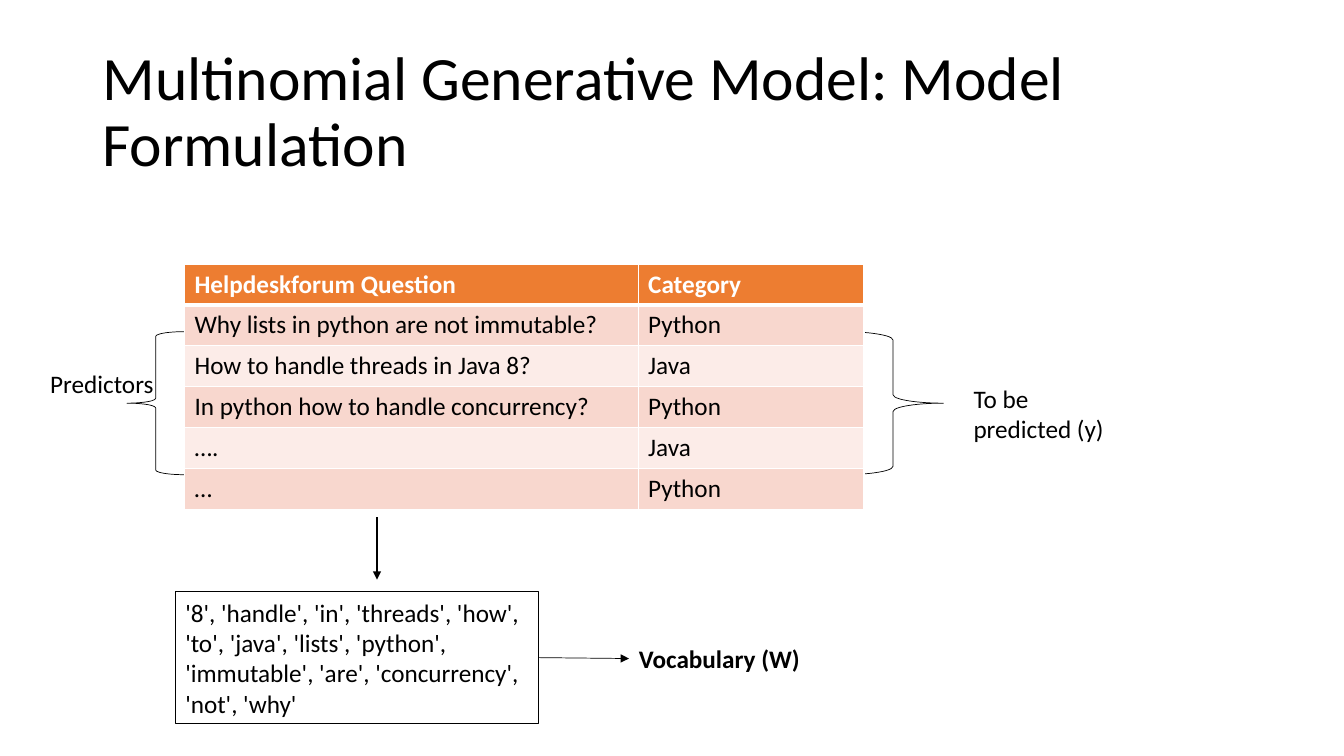
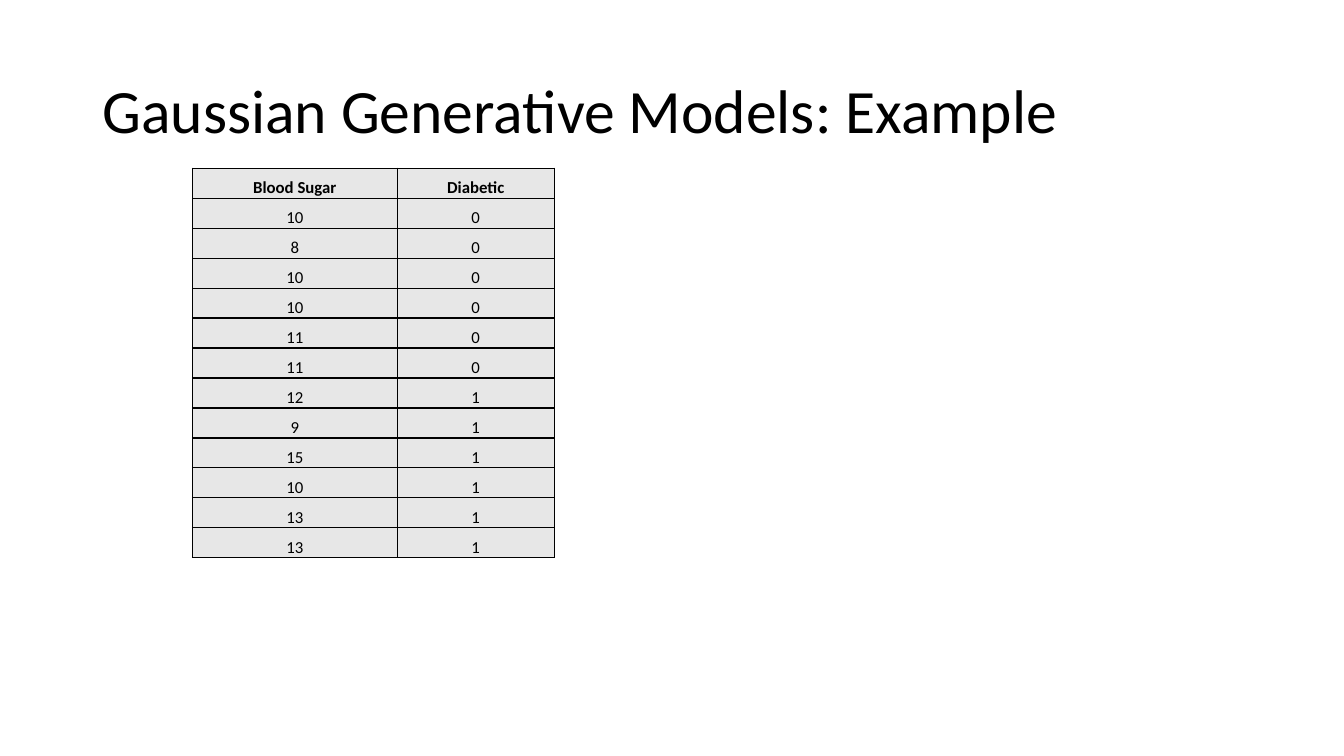
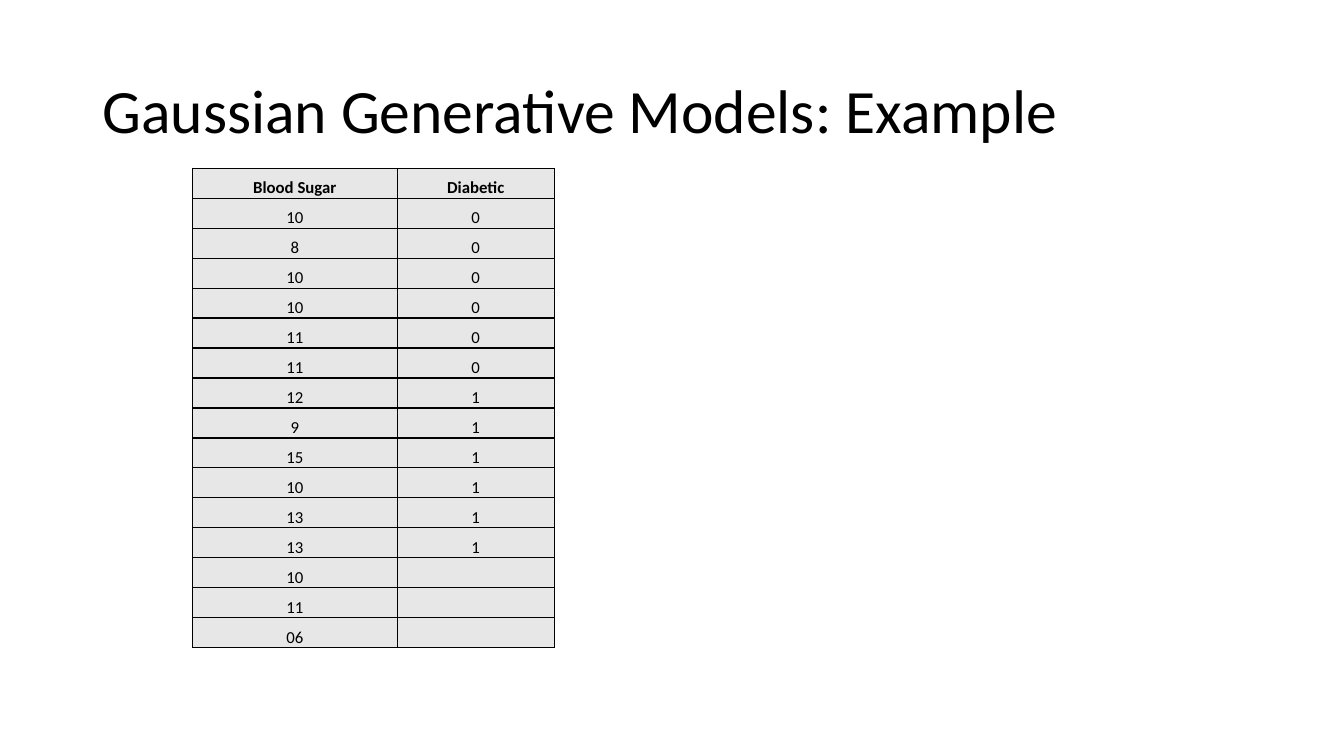
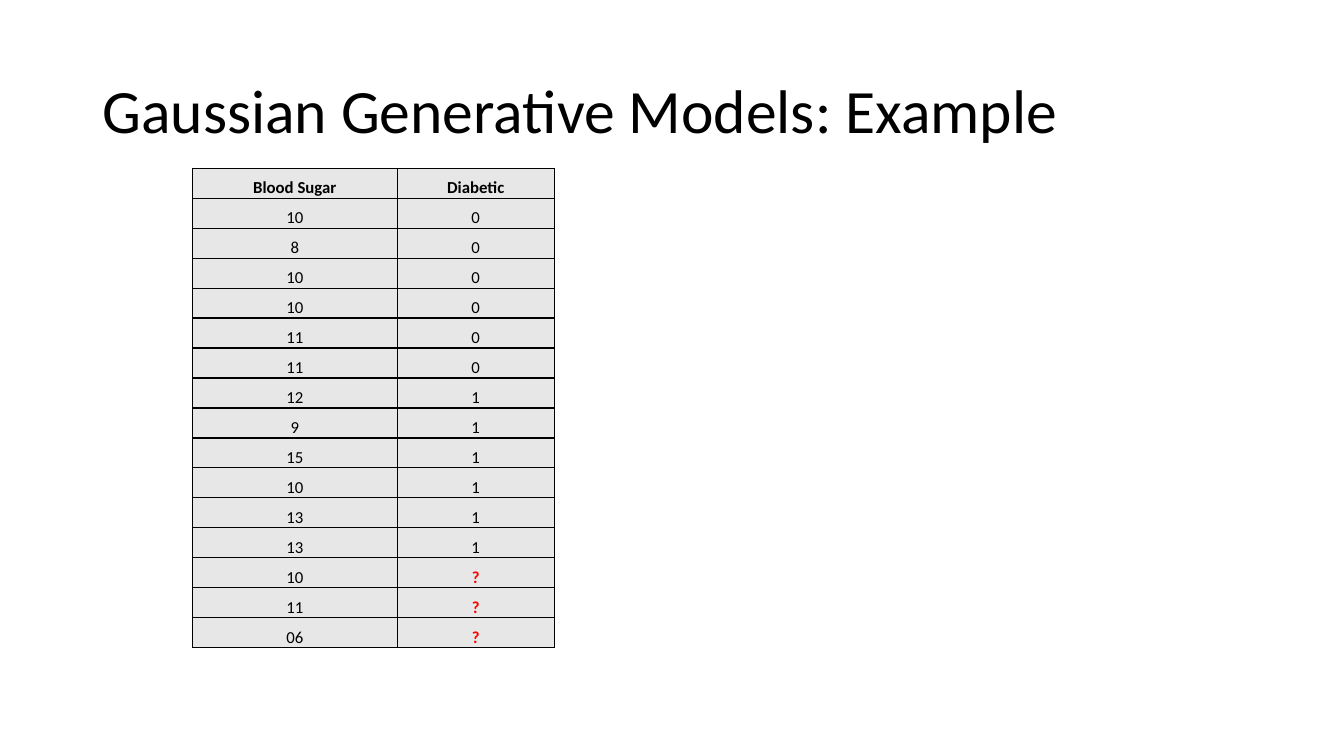
from lxml.etree import SubElement
from pptx import Presentation
from pptx.dml.color import RGBColor
from pptx.enum.shapes import MSO_CONNECTOR, MSO_SHAPE as SHAPE
from pptx.enum.text import MSO_ANCHOR as ANCHOR, MSO_AUTO_SIZE as AUTO, PP_ALIGN as ALIGN
from pptx.oxml.ns import qn
from pptx.util import Pt

# Shared style
FONT = "Calibri"
COLORS = {"black": "000000", "white": "FFFFFF", "header": "ED7D31", "band_dark": "F8D7CE",
          "band_light": "FCECE8", "grey": "E7E7E7", "red": "FF0000"}
TITLE_BOX = (66, 28.8, 828, 104.4)

# Content
FORMULATION_TITLE = "Multinomial Generative Model: Model Formulation"
EXAMPLE_TITLE = "Gaussian Generative Models: Example"
QUESTIONS = [
    ("Helpdeskforum Question", "Category"),
    ("Why lists in python are not immutable?", "Python"),
    ("How to handle threads in Java 8?", "Java"),
    ("In python how to handle concurrency?", "Python"),
    ("….", "Java"),
    ("…", "Python"),
]
VOCABULARY = ["8", "handle", "in", "threads", "how", "to", "java", "lists", "python",
              "immutable", "are", "concurrency", "not", "why"]
BRACES = [(SHAPE.RIGHT_BRACE, (601.9, 236.9, 72, 102.2)),
          (SHAPE.LEFT_BRACE, (90.7, 236.9, 41, 102.2))]
LABELS = [("To be predicted (y)", (688.3, 270, 113.8, 51)),
          ("Predictors", (28.8, 259.2, 95.8, 28.8))]

PATIENTS = [("Blood Sugar", "Diabetic")]
PATIENTS += [(sugar, "0") for sugar in ("10", "8", "10", "10", "11", "11")]
PATIENTS += [(sugar, "1") for sugar in ("12", "9", "15", "10", "13", "13")]
NEW_SUGARS = ("10", "11", "06")
EXAMPLES = [PATIENTS] + [PATIENTS + [(sugar, mark) for sugar in NEW_SUGARS]
                         for mark in ("", "?")]


def color(name):
    return RGBColor.from_string(COLORS[name])


def points(values):
    return [Pt(v) for v in values]


def style(tf, size, name="black", bold=False, align=ALIGN.LEFT):
    for p in tf.paragraphs:
        p.alignment = align
        for r in p.runs:
            r.font.name, r.font.size, r.font.bold = FONT, Pt(size), bold
            r.font.color.rgb = color(name)


def new_slide(prs, title):
    s = prs.slides.add_slide(prs.slide_layouts[5])
    sp = s.shapes.title
    sp.left, sp.top, sp.width, sp.height = points(TITLE_BOX)
    tf = sp.text_frame
    tf.text = title
    tf.auto_size, tf.word_wrap, tf.vertical_anchor = AUTO.NONE, True, ANCHOR.MIDDLE
    tf.paragraphs[0].line_spacing = 0.9
    style(tf, 44)
    return s


def add_label(s, text, box, bold=False):
    sp = s.shapes.add_textbox(*points(box))
    tf = sp.text_frame
    tf.text = text
    tf.word_wrap, tf.auto_size = True, AUTO.SHAPE_TO_FIT_TEXT
    style(tf, 18, bold=bold)
    return sp


def add_outline(s, kind, box, width):
    sp = s.shapes.add_shape(kind, *points(box))
    sp.shadow.inherit = False
    sp.fill.background()
    sp.line.color.rgb, sp.line.width = color("black"), Pt(width)
    return sp


def add_arrow(s, ends, width):
    line = s.shapes.add_connector(MSO_CONNECTOR.STRAIGHT, *points(ends))
    line.line.color.rgb, line.line.width = color("black"), Pt(width)
    SubElement(line.line._get_or_add_ln(), qn("a:tailEnd"), type="triangle")
    SubElement(line._element.spPr, qn("a:effectLst"))
    return line


def add_grid(s, rows, left, top, widths, row_height):
    """Add a table holding the rows and return it."""
    table = s.shapes.add_table(len(rows), len(widths), *points(
        (left, top, sum(widths), row_height * len(rows)))).table
    for column, width in zip(table.columns, widths):
        column.width = Pt(width)
    for i, row in enumerate(rows):
        table.rows[i].height = Pt(row_height)
        for j, text in enumerate(row):
            table.cell(i, j).text_frame.text = text
    return table


def paint_cell(cell, fill, border, top=1, bottom=1):
    tcPr = cell._tc.get_or_add_tcPr()
    for tag, width in (("lnL", 1), ("lnR", 1), ("lnT", top), ("lnB", bottom)):
        ln = SubElement(tcPr, qn(f"a:{tag}"), w=str(Pt(width)))
        SubElement(SubElement(ln, qn("a:solidFill")), qn("a:srgbClr"), val=COLORS[border])
    cell.fill.solid()
    cell.fill.fore_color.rgb = color(fill)


def formulation_slide(prs):
    s = new_slide(prs, FORMULATION_TITLE)
    for kind, box in BRACES:
        add_outline(s, kind, box, 0.5)
    for text, box in LABELS:
        add_label(s, text, box)

    # Vocabulary taken from the questions
    add_arrow(s, (269.3, 369.4, 269.3, 414), 1.5)
    words = add_outline(s, SHAPE.RECTANGLE, (125.3, 422.6, 259.2, 94.3), 1)
    words.fill.solid()
    words.fill.fore_color.rgb = color("white")
    words.text_frame.text = ", ".join(f"'{word}'" for word in VOCABULARY)
    words.text_frame.word_wrap = True
    style(words.text_frame, 18)
    name = add_label(s, "Vocabulary (W)", (449.3, 456, 175.7, 28.8), bold=True)
    arrow = add_arrow(s, (384.5, 469.8, 449.3, 470.4), 0.5)
    arrow.begin_connect(words, 3)
    arrow.end_connect(name, 1)

    # Banded question table
    table = add_grid(s, QUESTIONS, 131.8, 188.6, (324, 161.3), 29.2)
    for i, row in enumerate(table.rows):
        fill = "header" if i == 0 else ("band_light", "band_dark")[i % 2]
        for cell in row.cells:
            paint_cell(cell, fill, "white", top=3 if i == 1 else 1, bottom=3 if i == 0 else 1)
            style(cell.text_frame, 18, "white" if i == 0 else "black", bold=i == 0)


def example_slide(prs, rows):
    s = new_slide(prs, EXAMPLE_TITLE)
    table = add_grid(s, rows, 137.5, 120.2, (146.2, 112.3), 21.42)
    for i, row in enumerate(table.rows):
        for cell in row.cells:
            paint_cell(cell, "grey", "black")
            cell.vertical_anchor = ANCHOR.BOTTOM
            cell.margin_left = cell.margin_right = cell.margin_top = Pt(0.72)
            cell.margin_bottom = 0
            unknown = cell.text == "?"
            style(cell.text_frame, 12, "red" if unknown else "black",
                  bold=unknown or i == 0, align=ALIGN.CENTER)
            if not cell.text:  # keeps the row as low as the others
                SubElement(cell.text_frame.paragraphs[0]._p, qn("a:endParaRPr"), sz="1200")


def main():
    prs = Presentation()
    prs.slide_width, prs.slide_height = Pt(960), Pt(540)
    formulation_slide(prs)
    for rows in EXAMPLES:
        example_slide(prs, rows)
    prs.save("out.pptx")


if __name__ == "__main__":
    main()
